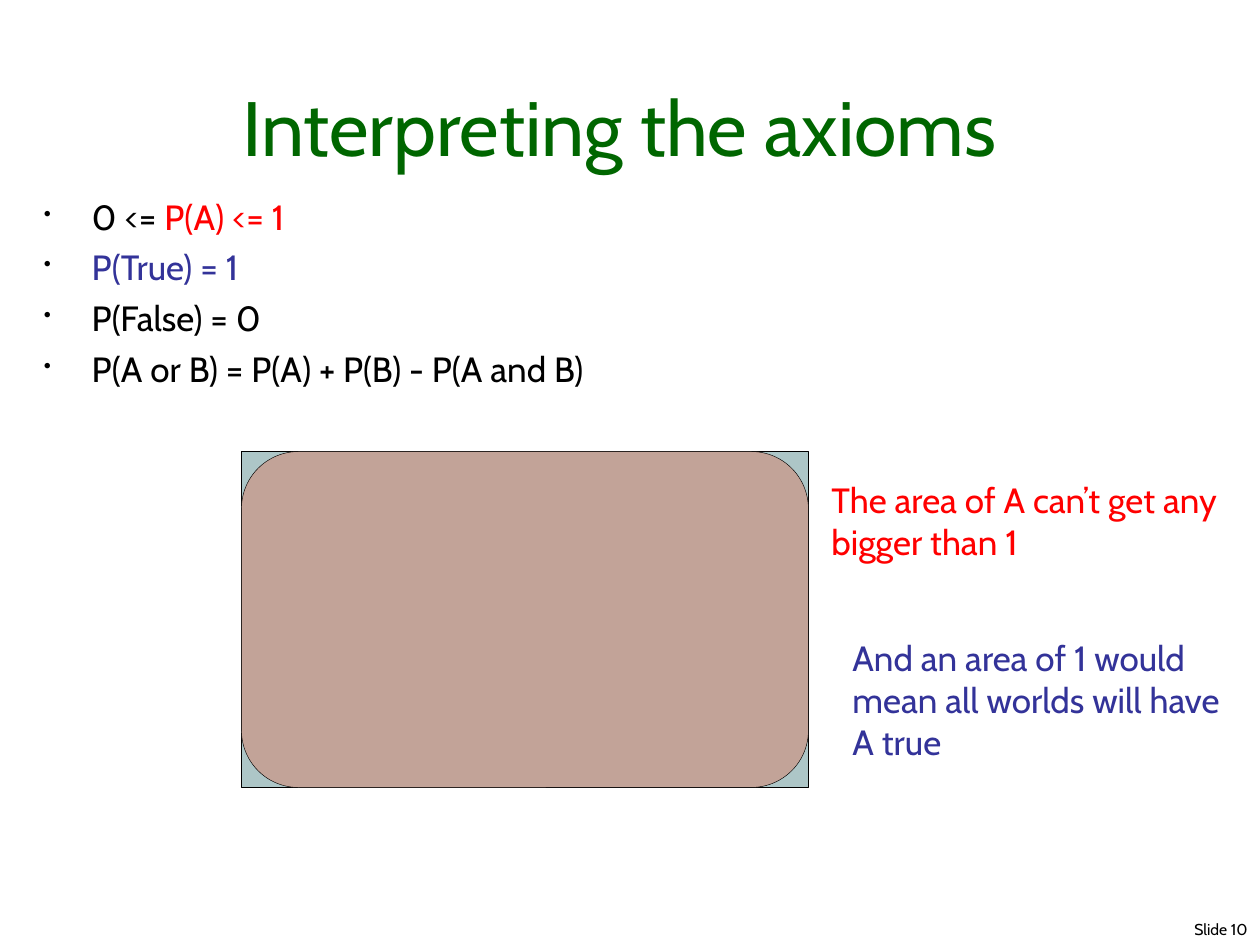
from lxml.etree import SubElement
from pptx import Presentation
from pptx.dml.color import RGBColor
from pptx.enum.shapes import MSO_SHAPE
from pptx.enum.text import MSO_ANCHOR, PP_ALIGN
from pptx.oxml.ns import qn
from pptx.util import Inches, Pt

COLORS = {
    "black": "000000",
    "green": "006600",
    "red": "FF0000",
    "blue": "333399",
    "worlds": "ADC6C7",
    "event": "C2A398",
}
FONT = "Cabin"
COLS, ROWS = 120, 90


def rgb(name):
    return RGBColor.from_string(COLORS[name])


def add_bullet(p, indent=0.38, percent=60):
    pPr = p._p.get_or_add_pPr()
    pPr.set("marL", str(Inches(indent)))
    pPr.set("indent", str(-Inches(indent)))
    color = SubElement(pPr, qn("a:buClr"))
    SubElement(color, qn("a:srgbClr"), val=COLORS["black"])
    SubElement(pPr, qn("a:buSzPct"), val=str(percent * 1000))
    SubElement(pPr, qn("a:buChar"), char="•")


def write(tf, paragraphs, size=20, align=PP_ALIGN.LEFT, anchor=MSO_ANCHOR.TOP,
          bullets=False, gap=0):
    """Fill a text frame; each paragraph is a list of (text, colour) runs."""
    tf.word_wrap = True
    tf.vertical_anchor = anchor
    for i, runs in enumerate(paragraphs):
        p = tf.add_paragraph() if i else tf.paragraphs[0]
        if bullets:
            add_bullet(p)
        p.alignment = align
        if i and gap:
            p.space_before = Pt(gap)
        for text, color in runs:
            r = p.add_run()
            r.text = text
            r.font.name = FONT
            r.font.size = Pt(size)
            r.font.color.rgb = rgb(color)


class SlideBuilder:
    """Places elements on a grid of COLS by ROWS cells."""

    def __init__(self, prs):
        self.s = prs.slides.add_slide(prs.slide_layouts[6])
        self.col = prs.slide_width / COLS
        self.row = prs.slide_height / ROWS

    def box(self, col, row, cols, rows):
        return (round(col * self.col), round(row * self.row),
                round(cols * self.col), round(rows * self.row))

    def text(self, grid, paragraphs, **style):
        sp = self.s.shapes.add_textbox(*self.box(*grid))
        write(sp.text_frame, paragraphs, **style)

    def shape(self, kind, grid, fill):
        sp = self.s.shapes.add_shape(kind, *self.box(*grid))
        sp.shadow.inherit = False
        sp.fill.solid()
        sp.fill.fore_color.rgb = rgb(fill)
        sp.line.color.rgb = rgb("black")
        sp.line.width = Pt(0.25)
        return sp


def main():
    prs = Presentation()
    prs.slide_width, prs.slide_height = Inches(10), Inches(7.5)
    slide = SlideBuilder(prs)

    # Slide number and title
    slide.text((73, 87, 47, 3.2), [[("Slide 10", "black")]],
               size=9, align=PP_ALIGN.RIGHT)
    slide.text((3, 3, 112, 14), [[("Interpreting the axioms", "green")]],
               size=44, align=PP_ALIGN.CENTER, anchor=MSO_ANCHOR.BOTTOM)

    # Axioms
    slide.text((3, 18, 65, 21), [
        [("0 <= ", "black"), ("P(A) <= 1", "red")],
        [("P(True) = 1", "blue")],
        [("P(False) = 0", "black")],
        [("P(A or B) = P(A) + P(B) - P(A and B)", "black")],
    ], bullets=True, gap=5)

    # All worlds, filled by event A
    area = (23, 43, 54, 32)
    slide.shape(MSO_SHAPE.RECTANGLE, area, "worlds")
    event = slide.shape(MSO_SHAPE.ROUNDED_RECTANGLE, area, "event")
    event.adjustments[0] = 0.17

    # Remarks beside the diagram
    slide.text((78, 45, 40, 9.2),
               [[("The area of A can’t get any bigger than 1", "red")]])
    slide.text((80, 60, 40, 13.2),
               [[("And an area of 1 would mean all worlds will have A true", "blue")]])

    prs.save("out.pptx")


if __name__ == "__main__":
    main()
